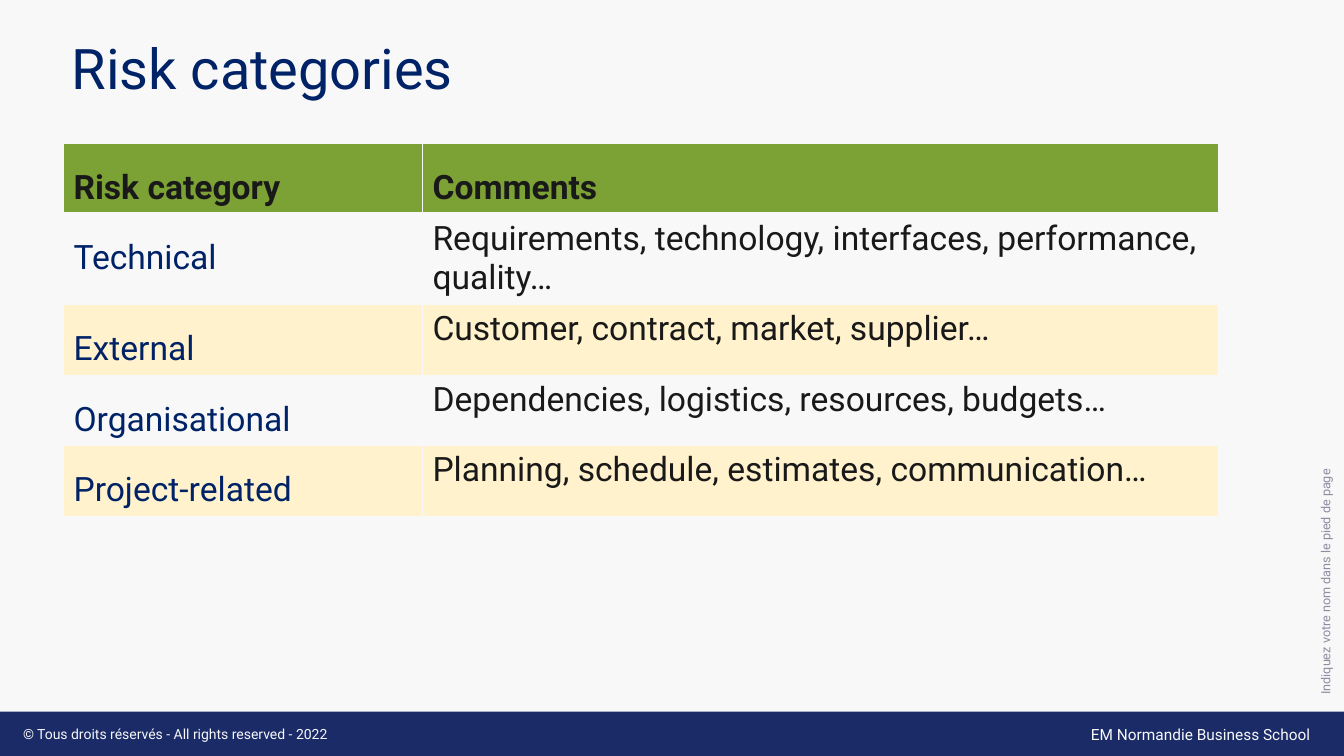
"""Build the risk categories slide with its table, footer band and side note."""
from lxml.etree import SubElement as Sub
from pptx import Presentation
from pptx.dml.color import RGBColor as Rgb
from pptx.enum.shapes import MSO_SHAPE as Form
from pptx.enum.text import MSO_ANCHOR as Anchor, PP_ALIGN as Align
from pptx.oxml.ns import qn
from pptx.util import Inches, Pt

TITLE = "Risk categories"
ROWS = [
    ("Risk category", "Comments"),
    ("Technical", "Requirements, technology, interfaces, performance, quality…"),
    ("External", "Customer, contract, market, supplier…"),
    ("Organisational", "Dependencies, logistics, resources, budgets…"),
    ("Project-related", "Planning, schedule, estimates, communication…"),
]
RIGHTS = "© Tous droits réservés - All rights reserved - 2022"
SCHOOL = "EM Normandie Business School"
NOTE = "Indiquez votre nom dans le pied de page"

PALE = Rgb(0xF8, 0xF8, 0xF8)
NAVY = Rgb(0x00, 0x22, 0x66)
BAND = Rgb(0x1A, 0x2B, 0x68)
GREEN = Rgb(0x7C, 0xA1, 0x34)
CREAM = Rgb(0xFF, 0xF2, 0xCC)
INK = Rgb(0x19, 0x19, 0x19)
GREY = Rgb(0x8C, 0x8D, 0xA0)
FONT = "Roboto"

WIDE, HIGH = 13.33, 7.5
FOOT = 0.44
LEFT, TOP = 0.63, 1.42
COLS = (3.56, 7.9)
ROW = 0.41


def write(frame, text, size, color, bold=False):
    """Put one formatted run in the first paragraph."""
    para = frame.paragraphs[0]
    para.alignment = Align.LEFT
    run = para.add_run()
    run.text = text
    font = run.font
    font.name, font.size, font.bold = FONT, Pt(size), bold
    font.color.rgb = color
    return para


def label(slide, box, text, size, color):
    """Add a one-line text box."""
    frame = slide.shapes.add_textbox(*map(Inches, box)).text_frame
    frame.word_wrap = True
    write(frame, text, size, color)
    return frame


def edge(cell, low):
    """Draw the four borders of a cell, the lower one with its own width."""
    props = cell._tc.get_or_add_tcPr()
    for side, width in zip("LRTB", (1, 1, 1, low)):
        line = Sub(props, qn(f"a:ln{side}"), w=str(Pt(width)))
        Sub(Sub(line, qn("a:solidFill")), qn("a:srgbClr"), val=str(PALE))


def grid(slide):
    """Add the table of categories."""
    size = (LEFT, TOP, sum(COLS), ROW * len(ROWS))
    table = slide.shapes.add_table(
        len(ROWS), len(COLS), *map(Inches, size)).table
    for col, width in zip(table.columns, COLS):
        col.width = Inches(width)
    for r, texts in enumerate(ROWS):
        head = r == 0
        fill = GREEN if head else (CREAM, PALE)[r % 2]
        for c, text in enumerate(texts):
            cell = table.cell(r, c)
            edge(cell, 3 if head else 1)
            cell.fill.solid()
            cell.fill.fore_color.rgb = fill
            color = INK if head or c else NAVY
            para = write(cell.text_frame, text, 24, color, head)
            if head or c == 0:
                para.line_spacing = 1.5
            para.space_after = Pt(6 if head or c == 0 else 12)


def main():
    deck = Presentation()
    deck.slide_width, deck.slide_height = Inches(WIDE), Inches(HIGH)
    slide = deck.slides.add_slide(deck.slide_layouts[5])
    slide.background.fill.solid()
    slide.background.fill.fore_color.rgb = PALE

    band = slide.shapes.add_shape(
        Form.RECTANGLE, 0, Inches(HIGH - FOOT), Inches(WIDE), Inches(FOOT))
    band.shadow.inherit = False
    band.fill.solid()
    band.fill.fore_color.rgb = BAND
    band.line.fill.background()
    label(slide, (10.72, 7.14, 2.45, 0.29), SCHOOL, 11, PALE)
    label(slide, (0.13, 7.15, 4.42, 0.27), RIGHTS, 10, PALE)

    title = slide.shapes.title
    title.left, title.top = Inches(0.61), Inches(0.35)
    title.width, title.height = Inches(11.5), Inches(0.71)
    title.text_frame.vertical_anchor = Anchor.MIDDLE
    write(title.text_frame, TITLE, 40, NAVY).line_spacing = 0.9

    side = label(slide, (13.03, 0.49, 0.23, 6.5), NOTE, 9, GREY)
    side.vertical_anchor = Anchor.MIDDLE
    side.margin_left = side.margin_right = Inches(0.05)
    side._txBody.bodyPr.set("vert", "vert270")

    grid(slide)
    deck.save("out.pptx")


if __name__ == "__main__":
    main()
